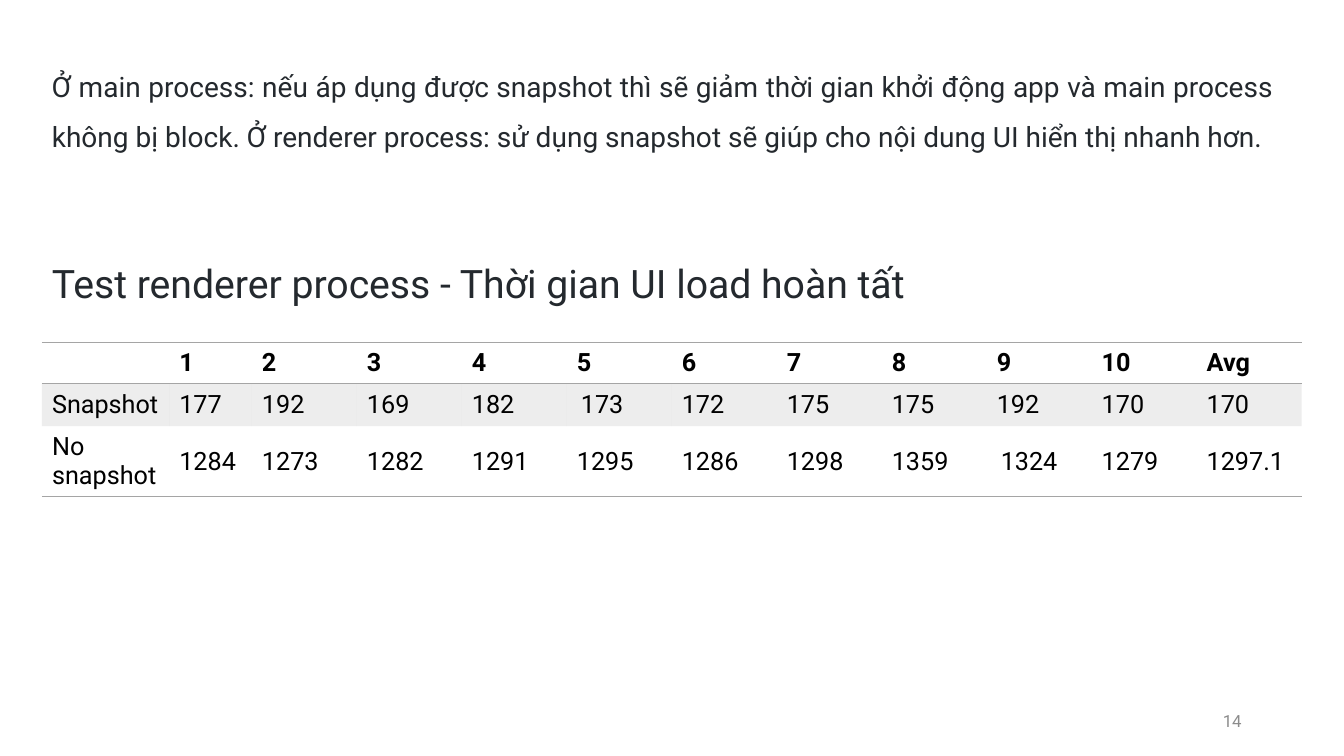
from dataclasses import dataclass
from typing import Optional

from lxml import etree
from pptx import Presentation, util as u
from pptx.dml.color import RGBColor
from pptx.enum import text as t
from pptx.oxml.ns import qn

# Grid of 32 columns by 18 rows; each square is 5/12 inch
UNIT = u.Inches(5 / 12)
FONT = "Roboto"
HUES = {"ink": "24292E", "cell": "000000", "rule": "A5A5A5", "page": "8C8C8C"}


@dataclass
class Note:
    text: str
    col: float
    row: float
    wide: float
    high: float
    size: int
    hue: str = "ink"
    align: t.PP_ALIGN = t.PP_ALIGN.LEFT
    lead: float = 1.0
    wrap: bool = True
    anchor: t.MSO_ANCHOR = t.MSO_ANCHOR.TOP


@dataclass
class Line:
    cells: list[str]
    bold: bool = False
    tint: bool = False
    top: bool = False
    base: bool = False
    inset: Optional[int] = None  # column with wider margins


NOTES = [
    Note("14", 22.6, 16.68, 7.2, 0.96, 12, "page", t.PP_ALIGN.RIGHT,
         anchor=t.MSO_ANCHOR.MIDDLE),
    Note("Ở main process: nếu áp dụng được snapshot thì sẽ giảm thời gian "
         "khởi động app và main process không bị block. Ở renderer process: "
         "sử dụng snapshot sẽ giúp cho nội dung UI hiển thị nhanh hơn.",
         1, 1.13, 29.57, 2.52, 20, align=t.PP_ALIGN.JUSTIFY, lead=1.5),
    Note("Test renderer process - Thời gian UI load hoàn tất",
         1, 6.05, 21.1, 1.37, 28, wrap=False),
]

LINES = [
    Line(["", *map(str, range(1, 11)), "Avg"], bold=True, top=True, base=True),
    Line(["Snapshot", "177", "192", "169", "182", "173", "172", "175", "175",
          "192", "170", "170"], tint=True, top=True, inset=5),
    Line(["No snapshot", "1284", "1273", "1282", "1291", "1295", "1286",
          "1298", "1359", "1324", "1279", "1297.1"], base=True, inset=9),
]
WIDTHS = [3.03, 1.97] + [2.5] * 10
HEIGHT = 0.98


def grid(*marks: float) -> list[int]:
    return [round(mark * UNIT) for mark in marks]


def style(para, size: int, hue: str, bold: bool = False) -> None:
    font = para.font
    font.name, font.size, font.bold = FONT, u.Pt(size), bold
    font.color.rgb = RGBColor.from_string(HUES[hue])


def write(slide, note: Note) -> None:
    box = slide.shapes.add_textbox(
        *grid(note.col, note.row, note.wide, note.high))
    frame = box.text_frame
    frame.word_wrap = note.wrap
    frame.vertical_anchor = note.anchor
    para = frame.paragraphs[0]
    para.text = note.text
    para.alignment, para.line_spacing = note.align, note.lead
    style(para, note.size, note.hue)


def paint(parent, hue: str) -> etree._Element:
    fill = etree.SubElement(parent, qn("a:solidFill"))
    return etree.SubElement(fill, qn("a:srgbClr"), val=HUES[hue])


def edge(cell, top: bool, base: bool) -> None:
    props = cell._tc.get_or_add_tcPr()
    for side, shown in zip("LRTB", (False, False, top, base)):
        rule = etree.SubElement(props, qn(f"a:ln{side}"), w=str(u.Pt(1)))
        if shown:
            paint(rule, "rule")
        else:
            etree.SubElement(rule, qn("a:noFill"))


def fill(cell, line: Line, col: int) -> None:
    edge(cell, line.top, line.base)
    if line.tint:
        tone = paint(cell._tc.tcPr, "rule")
        etree.SubElement(tone, qn("a:alpha"), val="20000")
    else:
        cell.fill.background()
    cell.vertical_anchor = t.MSO_ANCHOR.MIDDLE
    if col == line.inset:
        cell.margin_left = cell.margin_right = u.Inches(0.14)
        cell.margin_top = cell.margin_bottom = u.Inches(0.06)
    para = cell.text_frame.paragraphs[0]
    para.text = line.cells[col]
    style(para, 18, "cell", line.bold)


def chart(slide) -> None:
    size = len(LINES), len(WIDTHS)
    table = slide.shapes.add_table(
        *size, *grid(1, 8.16, sum(WIDTHS), HEIGHT * len(LINES))).table
    table.first_row = table.horz_banding = False
    for col, wide in zip(table.columns, WIDTHS):
        col.width = round(wide * UNIT)
    for row, line in zip(table.rows, LINES):
        row.height = round(HEIGHT * UNIT)
        for col, cell in enumerate(row.cells):
            fill(cell, line, col)


def main() -> None:
    deck = Presentation()
    deck.slide_width, deck.slide_height = grid(32, 18)
    slide = deck.slides.add_slide(deck.slide_layouts[6])
    # Page number, summary and heading
    for note in NOTES:
        write(slide, note)
    # Load times
    chart(slide)
    deck.save("out.pptx")


if __name__ == "__main__":
    main()
